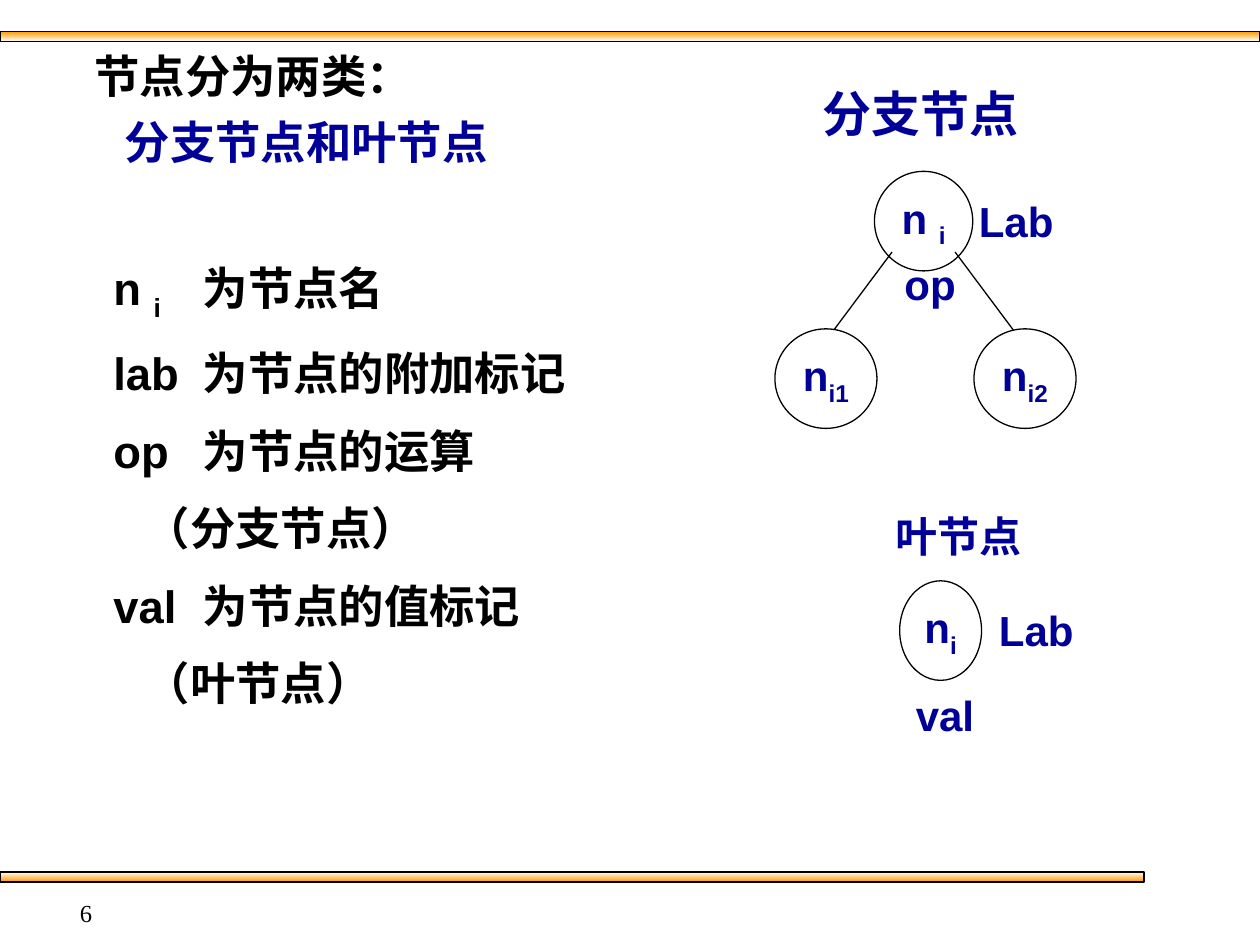
import pptx
import pptx.dml.color
import pptx.enum.shapes
import pptx.enum.text
import pptx.oxml
import pptx.oxml.ns
import pptx.util
from pptx.util import Inches

BLACK = pptx.dml.color.RGBColor(0x00, 0x00, 0x00)
WHITE = pptx.dml.color.RGBColor(0xFF, 0xFF, 0xFF)
NAVY = pptx.dml.color.RGBColor(0x00, 0x00, 0x99)
ORANGE = pptx.dml.color.RGBColor(0xFF, 0x99, 0x00)

SHAPES = pptx.enum.shapes.MSO_SHAPE
ALIGN = pptx.enum.text.PP_ALIGN
OUTLINE_WIDTH = pptx.util.Pt(0.75)
BODY_SIZE = 25.9
LABEL_SIZE = 24
TERM_TAB = 0.71


def add_xml(parent, tag, **attributes):
    element = parent.makeelement(pptx.oxml.ns.qn(tag), attributes)
    parent.append(element)
    return element


def outline(shape):
    shape.line.color.rgb = BLACK
    shape.line.width = OUTLINE_WIDTH


def add_run(paragraph, text, size, color, subscript=False, name="Arial", bold=True):
    run = paragraph.add_run()
    run.text = text
    font_format = {"size": pptx.util.Pt(size), "name": name, "bold": bold}
    for attribute, value in font_format.items():
        setattr(run.font, attribute, value)
    run.font.color.rgb = color
    if subscript:
        run.font._element.set("baseline", "-25000")


def add_text_frame(slide, left, top, width, height, inset=0.1, wrap=True):
    box = slide.shapes.add_textbox(Inches(left), Inches(top), Inches(width), Inches(height))
    frame = box.text_frame
    frame.word_wrap = wrap
    frame.margin_left = Inches(inset)
    return frame


def add_bar(slide, top, width, upper, lower):
    bar = slide.shapes.add_shape(SHAPES.RECTANGLE, 0, Inches(top), Inches(width), Inches(0.08))
    bar.shadow.inherit = False
    bar.fill.gradient()
    bar.fill.gradient_angle = 270
    for stop, color, position in zip(bar.fill.gradient_stops, (upper, lower), (0, 1)):
        stop.color.rgb = color
        stop.position = position
    outline(bar)


def add_node(slide, left, top, width, name, index):
    node = slide.shapes.add_shape(
        SHAPES.OVAL, Inches(left), Inches(top), Inches(width), Inches(0.79))
    node.shadow.inherit = False
    node.fill.solid()
    node.fill.fore_color.rgb = WHITE
    outline(node)
    frame = node.text_frame
    frame.word_wrap = False
    frame.vertical_anchor = pptx.enum.text.MSO_ANCHOR.MIDDLE
    paragraph = frame.paragraphs[0]
    paragraph.alignment = ALIGN.CENTER
    add_run(paragraph, name, LABEL_SIZE, NAVY)
    add_run(paragraph, index, LABEL_SIZE, NAVY, subscript=True)


def add_branch(slide, start_x, end_x):
    branch = slide.shapes.add_connector(
        pptx.enum.shapes.MSO_CONNECTOR.STRAIGHT,
        Inches(start_x), Inches(2), Inches(end_x), Inches(2.67))
    outline(branch)
    add_xml(branch._element.spPr, "a:effectLst")


def add_label(slide, left, top, width, text, size=LABEL_SIZE, wrap=True):
    frame = add_text_frame(slide, left, top, width, 0.5, wrap=wrap)
    add_run(frame.paragraphs[0], text, size, NAVY)


def add_lines(frame, lines, line_spacing):
    for number, (indent, runs) in enumerate(lines):
        paragraph = frame.add_paragraph() if number else frame.paragraphs[0]
        properties = paragraph._p.get_or_add_pPr()
        properties.set("marL", str(Inches(indent)))
        if any("\t" in text for text, color, subscript in runs):
            tabs = add_xml(properties, "a:tabLst")
            add_xml(tabs, "a:tab", pos=str(Inches(TERM_TAB)), algn="l")
        spacing = {"line_spacing": line_spacing,
                   "space_before": pptx.util.Pt(7 if number else 0)}
        for attribute, value in spacing.items():
            setattr(paragraph, attribute, value)
        for text, color, subscript in runs:
            add_run(paragraph, text, BODY_SIZE, color, subscript)


def plain(text, color=BLACK):
    return [(text, color, False)]


def add_explanation(slide):
    heading = add_text_frame(slide, 0, 0.33, 5.42, 1.25, inset=0.75)
    add_lines(heading, [
        (0, plain("节点分为两类：")),
        (0.24, plain("分支节点和叶节点", NAVY)),
    ], 1.0)
    terms = add_text_frame(slide, 0, 1.92, 5, 4.42, inset=0.9)
    add_lines(terms, [
        (0, plain("n ") + [("i", BLACK, True)] + plain("\t为节点名")),
        (0, plain("lab\t为节点的附加标记")),
        (0, plain("op\t为节点的运算")),
        (0.25, plain("（分支节点）")),
        (0, plain("val\t为节点的值标记")),
        (0.25, plain("（叶节点）")),
    ], 1.2)


def add_branch_diagram(slide):
    add_node(slide, 6.94, 1.36, 0.78, "n ", "i")
    for start_x, end_x in ((7.08, 6.58), (7.58, 8.08)):
        add_branch(slide, start_x, end_x)
    for left, index in ((6.15, "i1"), (7.73, "i2")):
        add_node(slide, left, 2.61, 0.81, "n", index)
    add_label(slide, 7.08, 2, 0.64, "op")
    add_label(slide, 7.67, 1.5, 0.83, "Lab")
    add_label(slide, 6.43, 0.61, 1.75, "分支节点", size=28, wrap=False)


def add_leaf_diagram(slide):
    add_node(slide, 7.14, 4.61, 0.65, "n", "i")
    add_label(slide, 7.17, 5.42, 0.83, "val")
    add_label(slide, 7.01, 4, 1.2, "叶节点", wrap=False)
    add_label(slide, 7.83, 4.75, 0.83, "Lab")


def add_page_number(slide):
    page = add_text_frame(slide, 0, 7.08, 0.83, 0.25).paragraphs[0]
    page.alignment = ALIGN.RIGHT
    add_run(page, "6", 14, BLACK, name="Times New Roman", bold=False)


def main():
    presentation = pptx.Presentation()
    presentation.slide_width = Inches(10)
    presentation.slide_height = Inches(7.5)
    slide = presentation.slides.add_slide(presentation.slide_layouts[6])
    add_bar(slide, 0.25, 10, ORANGE, WHITE)
    add_bar(slide, 6.92, 9.08, WHITE, ORANGE)
    add_explanation(slide)
    add_branch_diagram(slide)
    add_leaf_diagram(slide)
    add_page_number(slide)
    presentation.save("out.pptx")


if __name__ == "__main__":
    main()
